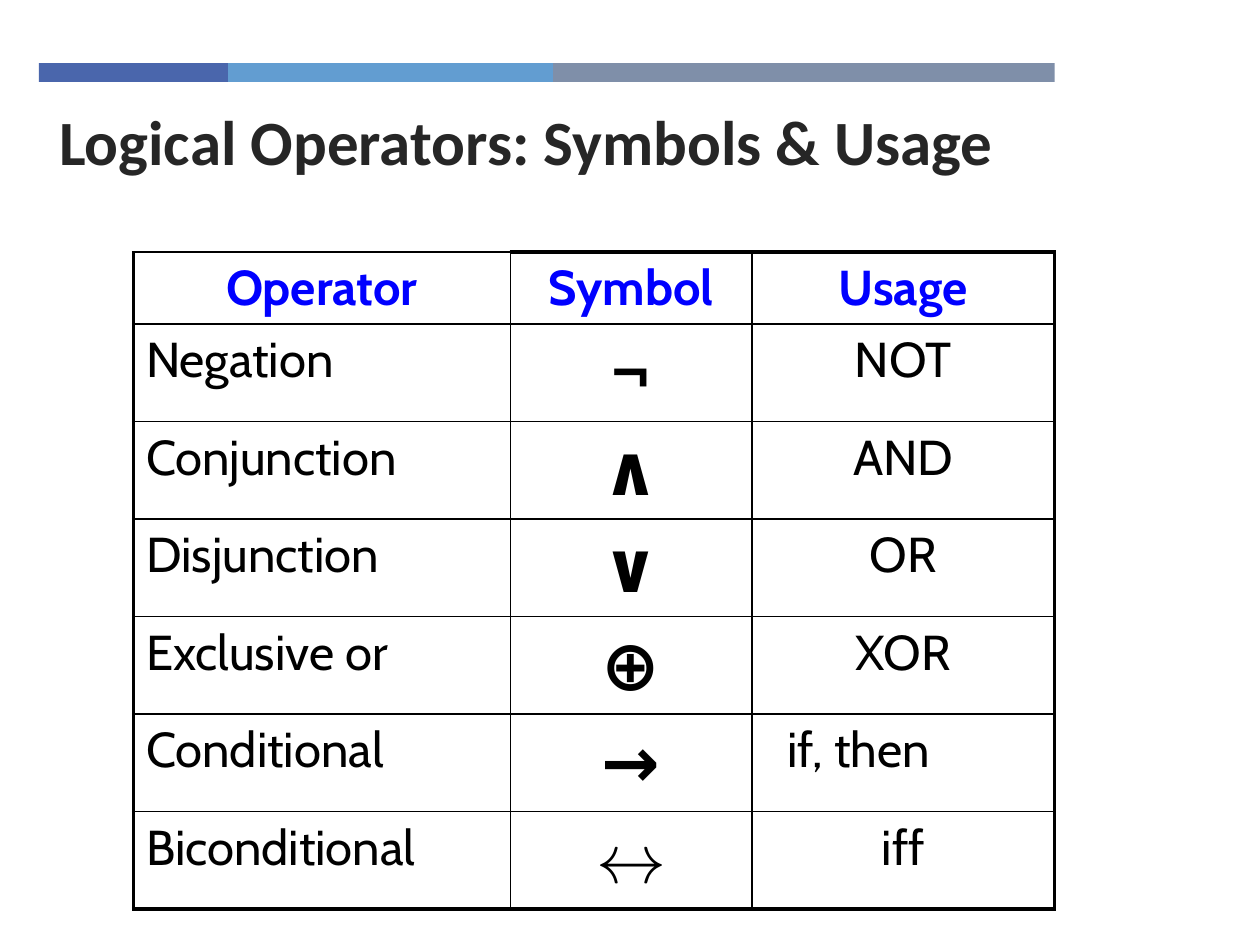
from dataclasses import dataclass

from lxml.etree import SubElement
from pptx import Presentation
from pptx.dml.color import RGBColor
from pptx.enum.shapes import MSO_SHAPE as Shape
from pptx.enum.text import MSO_ANCHOR as Anchor, MSO_AUTO_SIZE as Fit, PP_ALIGN as Align
from pptx.oxml.ns import qn
from pptx.util import Inches, Pt

HUES = {"navy": "4A66AC", "sky": "629DD1", "slate": "7F8FA9",
        "title": "262626", "head": "0000FF", "ink": "000000"}
THIN, THICK = 1, 2.25
COLS = (2.99, 1.92, 2.4)
HEAD_H, ROW_H = 0.57, 0.77


@dataclass
class Band:
    width: float
    hue: str


@dataclass
class Row:
    name: str
    sign: str
    usage: str


BANDS = (Band(1.5, "navy"), Band(2.58, "sky"), Band(3.98, "slate"))
HEAD = Row("Operator", "Symbol", "Usage")
ROWS = (
    HEAD,
    Row("Negation", "¬", "NOT"),
    Row("Conjunction", "∧", "AND"),
    Row("Disjunction", "∨", "OR"),
    Row("Exclusive or", "⊕", "XOR"),
    Row("Conditional", "→", "if, then"),
    Row("Biconditional", "↔", "iff"),
)


def color(hue: str) -> RGBColor:
    return RGBColor.from_string(HUES[hue])


def style(para, face: str, size: float, hue: str, bold: bool, align) -> None:
    para.alignment = align
    for run in para.runs:
        font = run.font
        font.name, font.size, font.bold = face, Pt(size), bold
        font.color.rgb = color(hue)


def draw_bands(slide, left: float, top: float, height: float) -> None:
    for band in BANDS:
        bar = slide.shapes.add_shape(Shape.RECTANGLE, Inches(left), Inches(top),
                                     Inches(band.width), Inches(height))
        bar.shadow.inherit = False
        bar.fill.solid()
        bar.fill.fore_color.rgb = color(band.hue)
        bar.line.fill.background()
        left += band.width


def draw_title(slide, text: str) -> None:
    title = slide.shapes.title
    title.left, title.top = Inches(0.37), Inches(0.76)
    title.width, title.height = Inches(7.78), Inches(0.86)
    frame = title.text_frame
    frame.text = text
    frame.word_wrap, frame.auto_size = True, Fit.NONE
    frame.vertical_anchor = Anchor.TOP
    style(frame.paragraphs[0], "Calibri", 36, "title", True, Align.LEFT)


def edge(cell, row: int, col: int) -> None:
    """Frame the cell, with the heavier outer rule where it applies."""
    last = len(COLS) - 1
    heavy = {"a:lnL": col == 0, "a:lnR": col == last,
             "a:lnT": row == 0 and col > 0, "a:lnB": row == len(ROWS) - 1}
    props = cell._tc.get_or_add_tcPr()
    for tag, thick in heavy.items():
        line = SubElement(props, qn(tag), w=str(Pt(THICK if thick else THIN)))
        fill = SubElement(line, qn("a:solidFill"))
        SubElement(fill, qn("a:srgbClr"), val=HUES["ink"])


def fill_cell(cell, row: int, col: int, text: str) -> None:
    edge(cell, row, col)
    cell.fill.background()
    cell.text = text
    head, sign = row == 0, row > 0 and col == 1
    phrase = text == "if, then"
    left = phrase or (col == 0 and not head)
    if phrase:
        cell.margin_left = Inches(0.28)
    style(cell.text_frame.paragraphs[0], "Cabin", 40 if sign else 28,
          "head" if head else "ink", head or sign,
          Align.LEFT if left else Align.CENTER)


def draw_table(slide, left: float, top: float) -> None:
    high = HEAD_H + ROW_H * (len(ROWS) - 1)
    table = slide.shapes.add_table(len(ROWS), len(COLS), Inches(left), Inches(top),
                                   Inches(sum(COLS)), Inches(high)).table
    table.first_row = table.horz_banding = False
    for col, width in enumerate(COLS):
        table.columns[col].width = Inches(width)
    for r, row in enumerate(ROWS):
        table.rows[r].height = Inches(ROW_H if r else HEAD_H)
        for c, text in enumerate((row.name, row.sign, row.usage)):
            fill_cell(table.cell(r, c), r, c, text)


def main() -> None:
    deck = Presentation()
    deck.slide_width, deck.slide_height = Inches(10), Inches(7.5)
    slide = deck.slides.add_slide(deck.slide_layouts[5])
    draw_bands(slide, 0.31, 0.5, 0.15)
    draw_title(slide, "Logical Operators: Symbols & Usage")
    draw_table(slide, 1.06, 2)
    deck.save("out.pptx")


if __name__ == "__main__":
    main()
